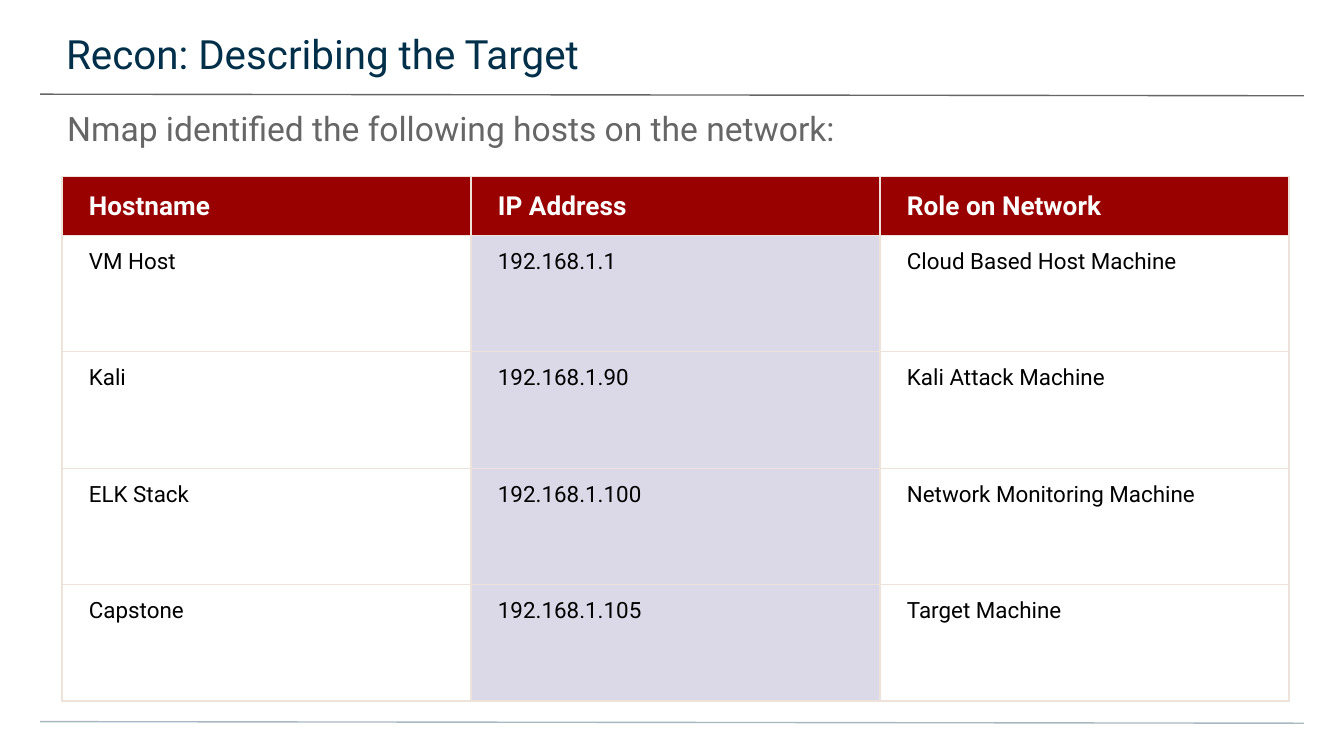
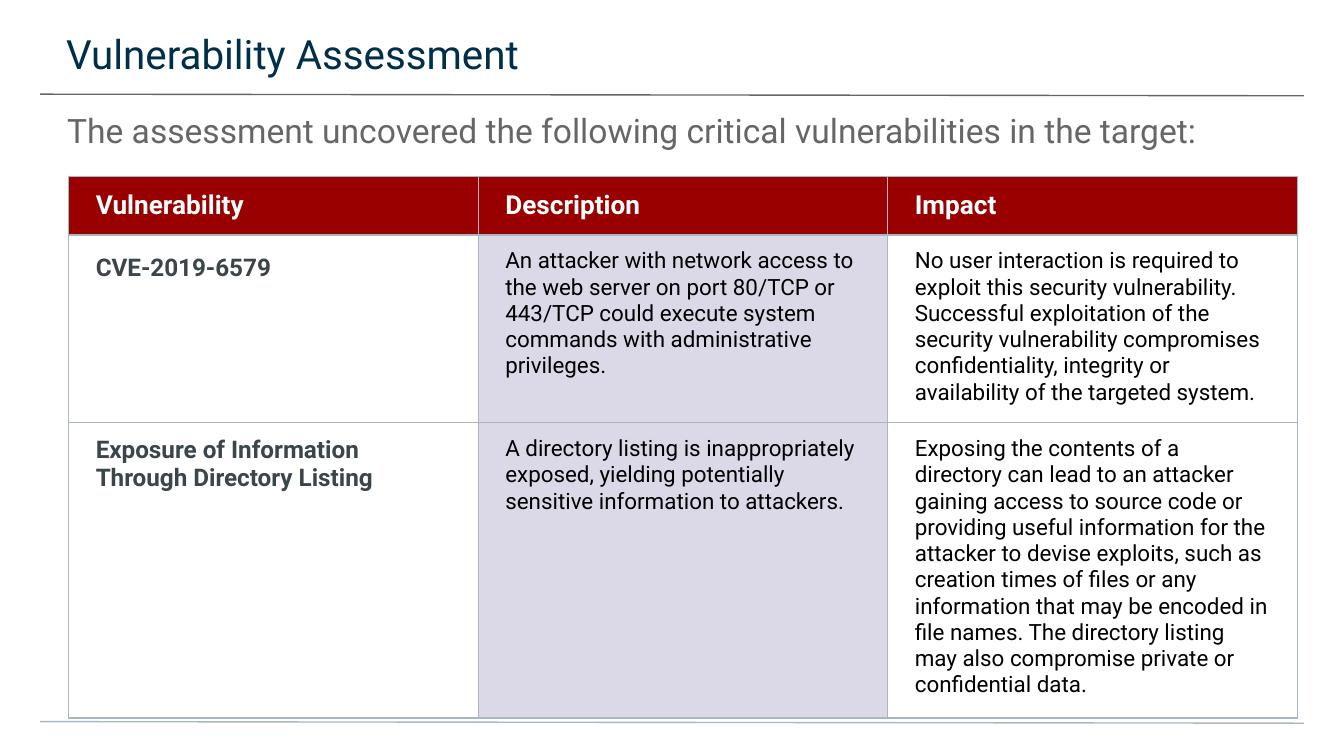
import lxml.etree
import pptx
import pptx.dml.color
import pptx.enum.shapes
import pptx.enum.text
import pptx.oxml.ns
import pptx.util

Cm = pptx.util.Cm
Pt = pptx.util.Pt
qn = pptx.oxml.ns.qn

FONT = "Roboto"
COLORS = {
    "title": "002F4A",
    "grey": "666666",
    "mist": "A9B7C0",
    "sand": "EDE3DA",
    "header": "990000",
    "middle": "DBD9E8",
    "slate": "3B454A",
    "white": "FFFFFF",
    "black": "000000",
}
HOSTS = [
    ["Hostname", "IP Address", "Role on Network"],
    ["VM Host", "192.168.1.1", "Cloud Based Host Machine"],
    ["Kali", "192.168.1.90", "Kali Attack Machine"],
    ["ELK Stack", "192.168.1.100", "Network Monitoring Machine"],
    ["Capstone", "192.168.1.105", "Target Machine"],
]
VULNERABILITIES = [
    ["Vulnerability", "Description", "Impact"],
    [
        "CVE-2019-6579",
        "An attacker with network access to the web server on port 80/TCP or 443/TCP "
        "could execute system commands with administrative privileges.",
        "No user interaction is required to exploit this security vulnerability. "
        "Successful exploitation of the security vulnerability compromises "
        "confidentiality, integrity or availability of the targeted system.",
    ],
    [
        "Exposure of Information Through Directory Listing",
        "A directory listing is inappropriately exposed, yielding potentially "
        "sensitive information to attackers.",
        "Exposing the contents of a directory can lead to an attacker gaining access "
        "to source code or providing useful information for the attacker to devise "
        "exploits, such as creation times of files or any information that may be "
        "encoded in file names. The directory listing may also compromise private or "
        "confidential data.",
    ],
]


def rgb(name):
    return pptx.dml.color.RGBColor.from_string(COLORS[name])


def style_font(paragraph, size, color, bold=False):
    font = paragraph.font
    font.name = FONT
    font.size = Pt(size)
    font.bold = bold
    font.color.rgb = rgb(color)


def add_rule(slide, top, color):
    rule = slide.shapes.add_connector(
        pptx.enum.shapes.MSO_CONNECTOR.STRAIGHT,
        Cm(0.76), Cm(top), Cm(24.64), Cm(top + 0.03),
    )
    rule.line.color.rgb = rgb(color)
    rule.line.width = Pt(0.75)
    lxml.etree.SubElement(rule._element.spPr, qn("a:effectLst"))


def add_text(slide, text, box, insets, size, color):
    frame = slide.shapes.add_textbox(*map(Cm, box)).text_frame
    frame.word_wrap = True
    frame.vertical_anchor = pptx.enum.text.MSO_ANCHOR.TOP
    (frame.margin_left, frame.margin_top,
     frame.margin_right, frame.margin_bottom) = map(Cm, insets)
    paragraph = frame.paragraphs[0]
    paragraph.text = text
    style_font(paragraph, size, color)
    return paragraph


def add_page(deck, title, subtitle, line_spacing):
    slide = deck.slides.add_slide(deck.slide_layouts[6])
    slide.background.fill.solid()
    slide.background.fill.fore_color.rgb = rgb("white")
    add_rule(slide, 1.78, "grey")
    add_rule(slide, 13.64, "mist")
    add_text(slide, title, (-0.02, 0, 25.47, 1.48), (1.27, 0.55, 0.76, 0.25), 21.6, "title")
    lead = add_text(slide, subtitle, (0, 1.88, 25.4, 1.02), (1.27, 0.25, 1.27, 0), 18, "grey")
    lead.line_spacing = line_spacing
    return slide, lead


def set_borders(cell, color):
    properties = cell._tc.get_or_add_tcPr()
    for position, side in enumerate(("a:lnL", "a:lnR", "a:lnT", "a:lnB")):
        border = properties.makeelement(qn(side), {"w": str(Pt(0.75))})
        fill = lxml.etree.SubElement(border, qn("a:solidFill"))
        lxml.etree.SubElement(fill, qn("a:srgbClr"), val=COLORS[color])
        properties.insert(position, border)


def fill_cell(cell, text, fill, border, size, color, bold):
    cell.margin_left = cell.margin_right = Cm(0.51)
    cell.margin_top = cell.margin_bottom = Cm(0.25)
    if fill:
        cell.fill.solid()
        cell.fill.fore_color.rgb = rgb(fill)
    else:
        cell.fill.background()
    set_borders(cell, border)
    paragraph = cell.text_frame.paragraphs[0]
    paragraph.text = text
    style_font(paragraph, size, color, bold)


def add_grid(slide, rows, left, column_width, header_height, row_height, border,
             label_style=(12, "black", False)):
    heights = [header_height] + [row_height] * (len(rows) - 1)
    columns = len(rows[0])
    grid = slide.shapes.add_table(
        len(rows), columns, Cm(left), Cm(3.34),
        Cm(column_width * columns), Cm(sum(heights)),
    ).table
    grid.first_row = grid.horz_banding = False
    for column in grid.columns:
        column.width = Cm(column_width)
    for r, (texts, height) in enumerate(zip(rows, heights)):
        grid.rows[r].height = Cm(height)
        for c, text in enumerate(texts):
            cell = grid.cell(r, c)
            if r == 0:
                fill_cell(cell, text, "header", border, 14, "white", True)
                cell.vertical_anchor = pptx.enum.text.MSO_ANCHOR.MIDDLE
            else:
                style = label_style if c == 0 else (12, "black", False)
                fill_cell(cell, text, "middle" if c == 1 else None, border, *style)
    return grid


def main():
    deck = pptx.Presentation()
    deck.slide_width = Cm(25.4)
    deck.slide_height = Cm(14.29)

    recon, _ = add_page(
        deck, "Recon: Describing the Target",
        "Nmap identified the following hosts on the network:", 0.9,
    )
    add_grid(recon, HOSTS, 1.17, 7.73, 1.11, 2.2, "sand")

    assessment, lead = add_page(
        deck, "Vulnerability Assessment",
        "The assessment uncovered the following critical vulnerabilities in the target:", 0.95,
    )
    lead.space_after = Pt(12)
    findings = add_grid(assessment, VULNERABILITIES, 1.3, 7.74, 1.1, 2.13, "mist",
                        label_style=(13, "slate", True))
    cve = findings.cell(1, 0).text_frame.paragraphs[0]
    cve.line_spacing = 1.2
    cve.space_after = Pt(4)

    deck.save("out.pptx")


if __name__ == "__main__":
    main()
